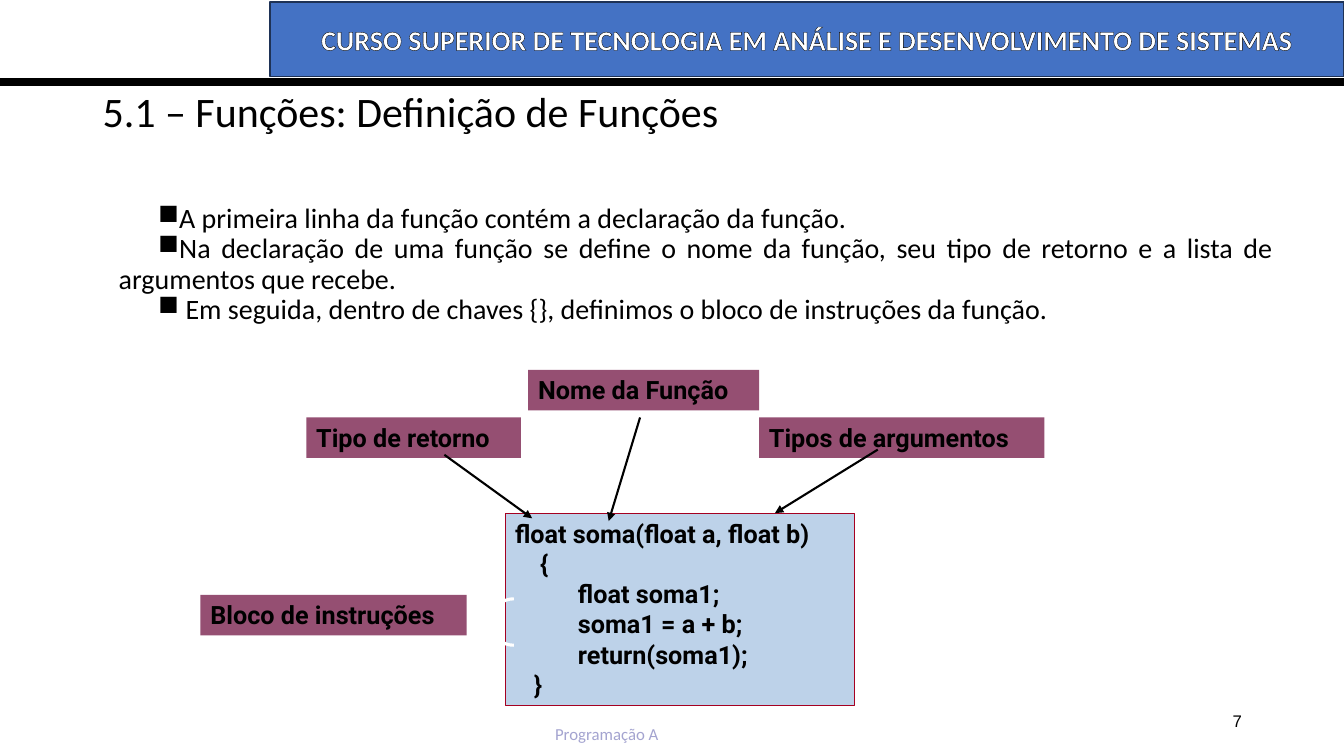
import pptx
import pptx.util
import pptx.dml.color
import pptx.enum.shapes
import pptx.enum.text
import pptx.oxml.ns
from lxml import etree

Cm, Pt = pptx.util.Cm, pptx.util.Pt
RGB = pptx.dml.color.RGBColor
SHAPE = pptx.enum.shapes.MSO_SHAPE
ALIGN = pptx.enum.text.PP_ALIGN
ANCHOR = pptx.enum.text.MSO_ANCHOR
qn = pptx.oxml.ns.qn

BLACK = RGB(0x00, 0x00, 0x00)
WHITE = RGB(0xFF, 0xFF, 0xFF)
BLUE = RGB(0x44, 0x72, 0xC4)
NAVY = RGB(0x1E, 0x32, 0x56)
PLUM = RGB(0x95, 0x4F, 0x72)
SKY = RGB(0xBD, 0xD2, 0xE9)
RED = RGB(0xA5, 0x00, 0x21)
LILAC = RGB(0xA4, 0xA4, 0xD0)

POINTS = [
    "A primeira linha da função contém a declaração da função.",
    "Na declaração de uma função se define o nome da função, seu tipo de "
    "retorno e a lista de argumentos que recebe.",
    " Em seguida, dentro de chaves {}, definimos o bloco de instruções da função.",
]
CODE = [
    "float soma(float a, float b)",
    "    {",
    "\t  float soma1;",
    "\t  soma1 = a + b;",
    "\t  return(soma1);",
    "   }",
]
# Label text, left, top, width
LABELS = [
    ("Nome da Função", 13.31, 9.32, 5.82),
    ("Tipo de retorno", 7.72, 10.52, 5.41),
    ("Tipos de argumentos", 19.13, 10.52, 7.19),
    ("Bloco de instruções", 5.05, 14.99, 6.71),
]
ARROWS = [
    (16.13, 10.52, 15.34, 13.13),
    (11.2, 11.46, 13.41, 13.06),
    (22.12, 11.33, 19.53, 12.93),
]


def style(para, name, size, color, bold=False, align=ALIGN.LEFT):
    para.alignment = align
    font = para.font
    font.name, font.size, font.bold = name, Pt(size), bold
    font.color.rgb = color


def write(frame, lines, *look, anchor=ANCHOR.TOP, **more):
    frame.word_wrap = True
    frame.vertical_anchor = anchor
    for i, line in enumerate(lines):
        para = frame.paragraphs[0] if i == 0 else frame.add_paragraph()
        para.text = line
        style(para, *look, **more)


def add_text(slide, box, *args, **more):
    text = slide.shapes.add_textbox(*map(Cm, box))
    write(text.text_frame, *args, **more)


def add_form(slide, kind, box, fill=None, line=None, width=1):
    form = slide.shapes.add_shape(kind, *map(Cm, box))
    form.shadow.inherit = False
    if fill is None:
        form.fill.background()
    else:
        form.fill.solid()
        form.fill.fore_color.rgb = fill
    if line is None:
        form.line.fill.background()
    else:
        form.line.color.rgb = line
        form.line.width = Pt(width)
    return form


def add_line(slide, ends, width, arrow=False):
    line = slide.shapes.add_connector(
        pptx.enum.shapes.MSO_CONNECTOR.STRAIGHT, *map(Cm, ends))
    line.line.color.rgb = BLACK
    line.line.width = Pt(width)
    if arrow:
        etree.SubElement(line.line._get_or_add_ln(), qn("a:tailEnd"), type="triangle")
    etree.SubElement(line._element.spPr, qn("a:effectLst"))


def add_banner(slide):
    form = add_form(slide, SHAPE.RECTANGLE, (6.81, 0.05, 27.06, 1.88), BLUE, NAVY)
    write(form.text_frame,
          ["CURSO SUPERIOR DE TECNOLOGIA EM ANÁLISE E DESENVOLVIMENTO DE SISTEMAS"],
          "Calibri", 20, WHITE, bold=True, align=ALIGN.CENTER, anchor=ANCHOR.MIDDLE)
    # Black outline around the letters
    props = form.text_frame.paragraphs[0].runs[0]._r.get_or_add_rPr()
    edge = etree.Element(qn("a:ln"), w=str(Pt(0.8)))
    fill = etree.SubElement(edge, qn("a:solidFill"))
    etree.SubElement(fill, qn("a:srgbClr"), val=str(BLACK))
    props.insert(0, edge)


def add_title(slide):
    title = slide.shapes.title
    title.left, title.top, title.width, title.height = map(Cm, (2.33, 1.02, 29.21, 3.68))
    write(title.text_frame, ["5.1 – Funções: Definição de Funções"],
          "Calibri", 30, BLACK, anchor=ANCHOR.MIDDLE)
    title.text_frame.paragraphs[0].line_spacing = 0.9


def add_points(slide):
    text = slide.shapes.add_textbox(*map(Cm, (2.74, 5.03, 29.6, 3.4)))
    frame = text.text_frame
    frame.word_wrap = True
    for i, point in enumerate(POINTS):
        para = frame.paragraphs[0] if i == 0 else frame.add_paragraph()
        para.text = point
        props = para._p.get_or_add_pPr()
        props.set("marL", "0")
        props.set("indent", str(Cm(1)))
        etree.SubElement(props, qn("a:buChar"), char="■")
        para.line_spacing = 0.9
        style(para, "Calibri", 20, BLACK, align=ALIGN.JUSTIFY)


def add_code(slide):
    form = add_form(slide, SHAPE.RECTANGLE, (12.73, 12.93, 8.81, 4.85), SKY, RED, 0.75)
    frame = form.text_frame
    frame.vertical_anchor = ANCHOR.TOP
    for i, line in enumerate(CODE):
        para = frame.paragraphs[0] if i == 0 else frame.add_paragraph()
        para.text = line
        tabs = etree.SubElement(para._p.get_or_add_pPr(), qn("a:tabLst"))
        etree.SubElement(tabs, qn("a:tab"), pos=str(Cm(1.27)), algn="l")
        style(para, "Roboto", 18, BLACK, bold=True)


def main():
    deck = pptx.Presentation()
    deck.slide_width, deck.slide_height = Cm(33.87), Cm(19.05)
    slide = deck.slides.add_slide(deck.slide_layouts.get_by_name("Title Only"))

    # Header
    add_banner(slide)
    add_line(slide, (0, 2.06, 33.87, 2.06), 6)
    add_title(slide)

    # Explanation
    add_points(slide)

    # Annotated function
    add_code(slide)
    for name, left, top, width in LABELS:
        label = add_form(slide, SHAPE.RECTANGLE, (left, top, width, 1.02), PLUM)
        write(label.text_frame, [name], "Roboto", 18, BLACK, bold=True)
    for ends in ARROWS:
        add_line(slide, ends, 1.5, arrow=True)
    brace = add_form(slide, SHAPE.LEFT_BRACE, (12.14, 15.09, 0.81, 1.17),
                     line=WHITE, width=2.25)
    brace.adjustments[0], brace.adjustments[1] = 0.33, 0.45

    # Footer
    add_text(slide, (13.74, 18.11, 3.38, 0.76), ["Programação A"], "Calibri", 12, LILAC)
    add_text(slide, (23.93, 17.65, 7.62, 1.02), ["7"], "Arial", 12, BLACK,
             align=ALIGN.RIGHT, anchor=ANCHOR.MIDDLE)

    deck.save("out.pptx")


if __name__ == "__main__":
    main()
